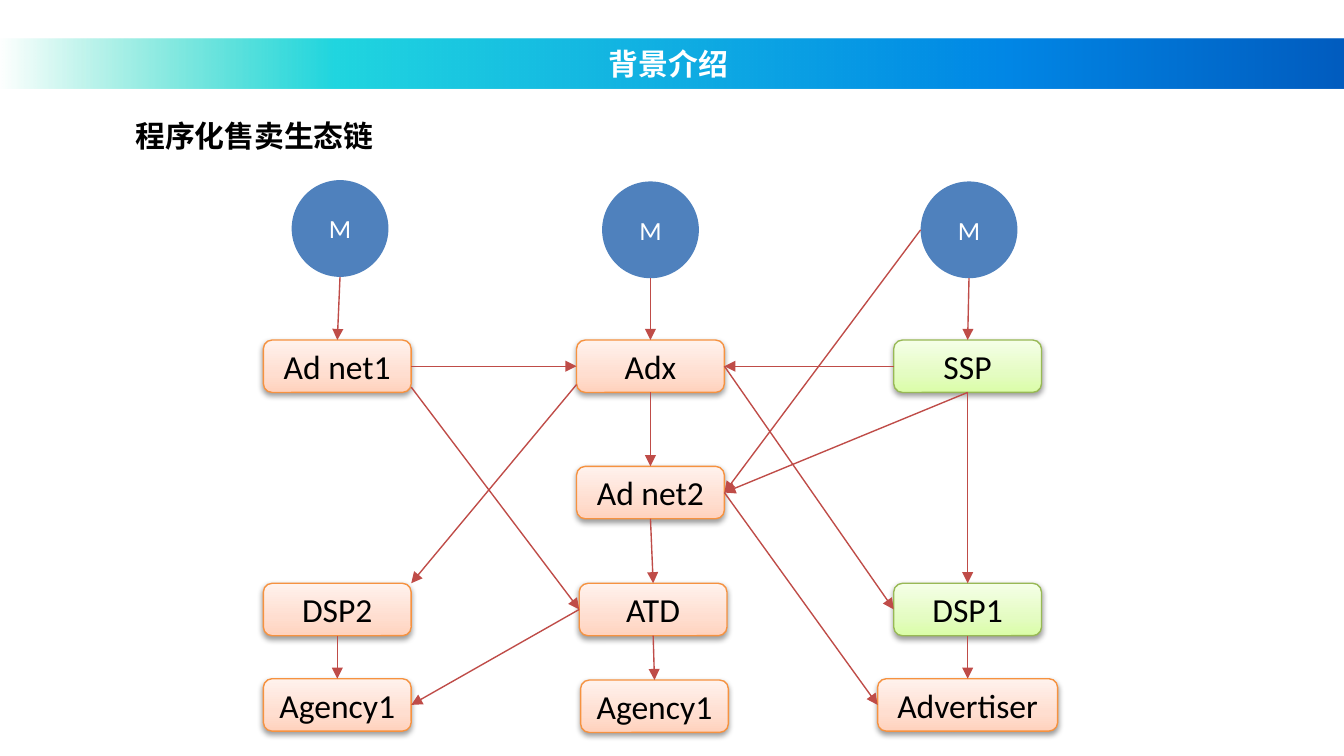
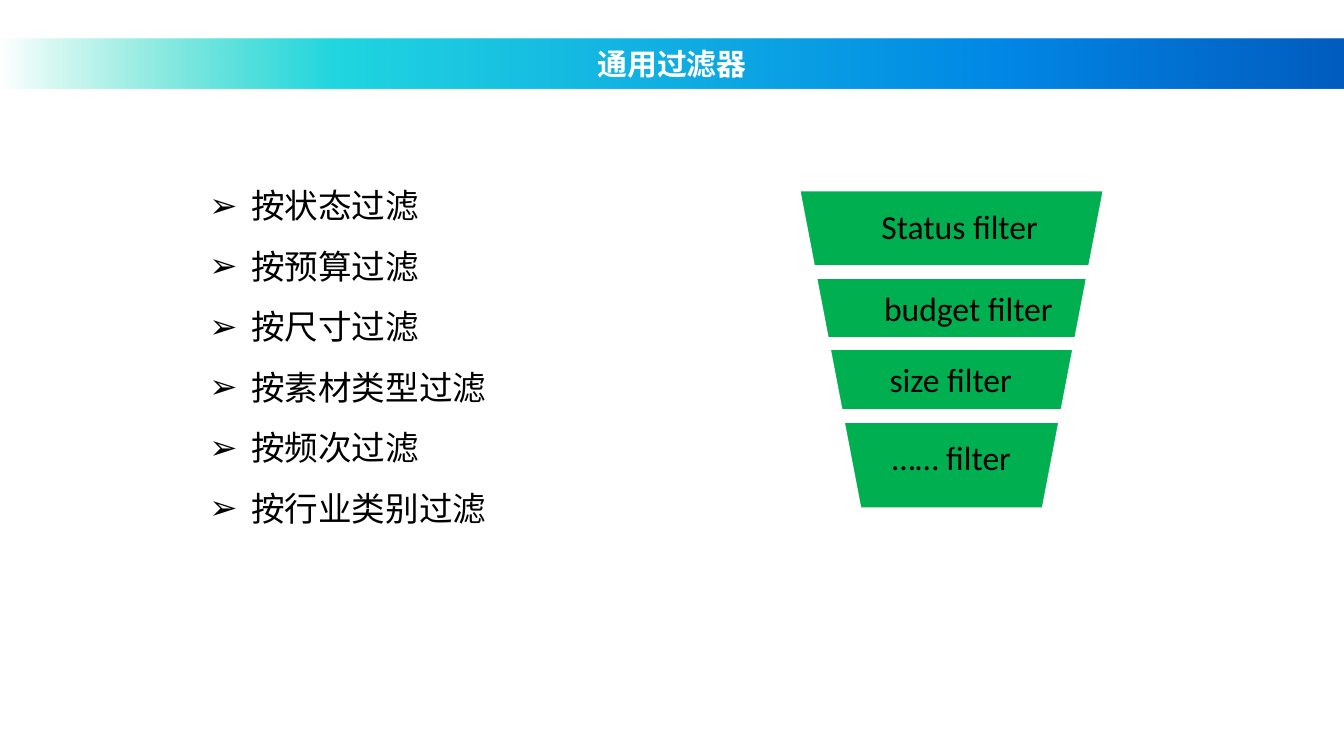
from lxml.etree import SubElement
from pptx import Presentation
from pptx.dml.color import RGBColor
from pptx.enum.shapes import MSO_CONNECTOR as Connector, MSO_SHAPE as Preset
from pptx.enum.text import MSO_ANCHOR as Anchor, MSO_AUTO_SIZE as AutoSize, PP_ALIGN as Align
from pptx.oxml.ns import qn
from pptx.util import Inches, Pt

COLORS = {
    "text": "000000",
    "white": "FFFFFF",
    "media": "4F81BD",
    "arrow": "BF4C48",
    "funnel": "00B050",
    "orange_line": "F69240",
    "green_line": "98B955",
}
# Each stop: position in percent, colour, opacity in percent
BAND_STOPS = [(0, "03D4A8", 0), (25, "21D6E0", 100), (75, "0087E6", 100), (100, "005CBF", 100)]
NODE_STOPS = {
    "orange": [(0, "FFD2BD", 100), (35, "FFDED0", 100), (100, "FFF2ED", 100)],
    "green": [(0, "DAFDA7", 100), (35, "E4FCC2", 100), (100, "F5FFE7", 100)],
}
CJK = "Noto Sans CJK SC"
HEADING = {"name": CJK, "size": Pt(16), "bold": True}
LABEL = {"name": "Calibri", "size": Pt(18)}
MEDIA_LABEL = {"name": "Calibri", "size": Pt(14)}
BULLET_TEXT = {"name": "Arial", "size": Pt(18)}

# Glue sites of a box, in their numbered order, as fractions of its size
SITES = {"top": (0.5, 0), "left": (0, 0.5), "bottom": (0.5, 1), "right": (1, 0.5)}
POINTS = {**SITES, "right low": (1, 0.9), "left low": (0, 0.85), "top right": (1, 0)}

MEDIA = {"M1": (2.17, 1.34), "M2": (4.48, 1.35), "M3": (6.85, 1.35)}
NODES = {  # key: label, left, top, width, palette
    "Ad net1": ("Ad net1", 1.96, 2.53, 1.1, "orange"),
    "Adx": ("Adx", 4.29, 2.53, 1.1, "orange"),
    "SSP": ("SSP", 6.65, 2.53, 1.1, "green"),
    "Ad net2": ("Ad net2", 4.29, 3.47, 1.1, "orange"),
    "DSP1": ("DSP1", 6.65, 4.34, 1.1, "green"),
    "DSP2": ("DSP2", 1.96, 4.34, 1.1, "orange"),
    "ATD": ("ATD", 4.31, 4.34, 1.1, "orange"),
    "Agency left": ("Agency1", 1.96, 5.05, 1.1, "orange"),
    "Agency mid": ("Agency1", 4.32, 5.06, 1.1, "orange"),
    "Advertiser": ("Advertiser", 6.53, 5.05, 1.34, "orange"),
}
FLOWS = [
    ("M1", "bottom", "Ad net1", "top"),
    ("M2", "bottom", "Adx", "top"),
    ("M3", "bottom", "SSP", "top"),
    ("Ad net1", "right", "Adx", "left"),
    ("Ad net1", "right low", "ATD", "left"),
    ("Adx", "bottom", "Ad net2", "top"),
    ("SSP", "left", "Adx", "right"),
    ("SSP", "bottom", "DSP1", "top"),
    ("SSP", "bottom", "Ad net2", "right"),
    ("Ad net2", "bottom", "ATD", "top"),
    ("DSP1", "bottom", "Advertiser", "top"),
    ("ATD", "bottom", "Agency mid", "top"),
    ("Adx", "left low", "DSP2", "top right"),
    ("DSP2", "bottom", "Agency left", "top"),
    ("ATD", "left", "Agency left", "right"),
    ("Adx", "right", "DSP1", "left"),
    ("M3", "left", "Ad net2", "right"),
    ("Ad net2", "right", "Advertiser", "left"),
]
FILTERS = ["按状态过滤", "按预算过滤", "按尺寸过滤", "按素材类型过滤", "按频次过滤", "按行业类别过滤"]
FUNNEL_GAPS = [(5.35, 1.87), (5.47, 2.4), (5.44, 2.94)]
FUNNEL_LABELS = [
    ("Status filter", 6.46, 1.48, 1.38),
    ("budget filter", 6.48, 2.09, 1.47),
    ("size filter", 6.52, 2.62, 1.12),
    ("…… filter", 6.54, 3.2, 1.11),
]


def color(key):
    return RGBColor.from_string(COLORS[key])


def apply_format(target, values):
    for name, value in values.items():
        setattr(target, name, value)


def write(paragraph, text, font, color_key="text"):
    run = paragraph.add_run()
    run.text = text
    apply_format(run.font, font)
    run.font.color.rgb = color(color_key)
    east_asian = SubElement(run._r.get_or_add_rPr(), qn("a:ea"))
    east_asian.set("typeface", CJK)


def add_preset(slide, preset, left, top, width, height, fill=None, line=None, weight=0.75):
    shape = slide.shapes.add_shape(preset, *map(Inches, (left, top, width, height)))
    shape.shadow.inherit = False
    if fill:
        shape.fill.solid()
        shape.fill.fore_color.rgb = color(fill)
    if line:
        shape.line.color.rgb = color(line)
        shape.line.width = Pt(weight)
    else:
        shape.line.fill.background()
    return shape


def fill_gradient(shape, stops, angle):
    """Fill with any number of stops; the angle runs counter-clockwise."""
    shape.fill.gradient()
    shape.fill.gradient_angle = angle
    stop_list = shape._element.spPr.find(qn("a:gradFill")).find(qn("a:gsLst"))
    for default_stop in list(stop_list):
        stop_list.remove(default_stop)
    for position, hex_value, opacity in stops:
        stop = SubElement(stop_list, qn("a:gs"), pos=str(position * 1000))
        tint = SubElement(stop, qn("a:srgbClr"), val=hex_value)
        if opacity < 100:
            SubElement(tint, qn("a:alpha"), val=str(opacity * 1000))


def add_soft_shadow(shape):
    effects = shape._element.spPr.find(qn("a:effectLst"))
    shadow = SubElement(effects, qn("a:outerShdw"), blurRad=str(Pt(3.1)), dist=str(Pt(1.6)),
                        dir="5400000", rotWithShape="0")
    tint = SubElement(shadow, qn("a:srgbClr"), val="000000")
    SubElement(tint, qn("a:alpha"), val="38000")


def add_centered_text(shape, text, font, color_key="text", anchor=Anchor.MIDDLE):
    apply_format(shape.text_frame, {"word_wrap": True, "vertical_anchor": anchor})
    paragraph = shape.text_frame.paragraphs[0]
    paragraph.alignment = Align.CENTER
    write(paragraph, text, font, color_key)


def add_text_frame(slide, left, top, width, height, wrap=False):
    box = slide.shapes.add_textbox(*map(Inches, (left, top, width, height)))
    apply_format(box.text_frame, {"word_wrap": wrap, "auto_size": AutoSize.SHAPE_TO_FIT_TEXT})
    return box.text_frame


def add_titled_slide(deck, title):
    slide = deck.slides.add_slide(deck.slide_layouts[6])
    band = add_preset(slide, Preset.RECTANGLE, 0, 0.29, 10, 0.37)
    fill_gradient(band, BAND_STOPS, 0)
    add_centered_text(band, title, HEADING, "white", Anchor.TOP)
    band.text_frame.auto_size = AutoSize.SHAPE_TO_FIT_TEXT
    return slide


def add_media(slide, left, top):
    circle = add_preset(slide, Preset.OVAL, left, top, 0.72, 0.72, "media")
    add_centered_text(circle, "M", MEDIA_LABEL, "white")
    return circle


def add_node(slide, label, left, top, width, palette):
    node = add_preset(slide, Preset.ROUNDED_RECTANGLE, left, top, width, 0.39,
                      line=f"{palette}_line")
    fill_gradient(node, NODE_STOPS[palette], 90)
    add_soft_shadow(node)
    add_centered_text(node, label, LABEL)
    return node


def point_on(shape, side):
    across, down = POINTS[side]
    return int(shape.left + across * shape.width), int(shape.top + down * shape.height)


def add_flow(slide, source, source_side, target, target_side):
    """Draw an arrow, glued wherever it meets a numbered site of a box."""
    arrow = slide.shapes.add_connector(
        Connector.STRAIGHT, *point_on(source, source_side), *point_on(target, target_side))
    for glue, shape, side in ((arrow.begin_connect, source, source_side),
                              (arrow.end_connect, target, target_side)):
        if side in SITES and shape.auto_shape_type != Preset.OVAL:
            glue(shape, list(SITES).index(side))
    arrow.line.color.rgb = color("arrow")
    arrow.line.width = Pt(0.75)
    SubElement(arrow.line._get_or_add_ln(), qn("a:tailEnd"), type="triangle")
    SubElement(arrow._element.spPr, qn("a:effectLst"))


def add_bullets(slide, items):
    frame = add_text_frame(slide, 1.46, 1.18, 7.8, 2.83, wrap=True)
    for index, item in enumerate(items):
        paragraph = frame.add_paragraph() if index else frame.paragraphs[0]
        paragraph.line_spacing = 1.5
        properties = paragraph._p.get_or_add_pPr()
        properties.set("marL", str(Inches(0.31)))
        properties.set("indent", str(-Inches(0.31)))
        SubElement(properties, qn("a:buFont"), typeface="Arial")
        SubElement(properties, qn("a:buChar"), char="➢")
        write(paragraph, item, BULLET_TEXT)


def add_funnel(slide):
    add_preset(slide, Preset.FLOWCHART_MANUAL_OPERATION, 5.94, 1.41, 2.28, 2.38,
               "funnel", "white", 2)
    for left, top in FUNNEL_GAPS:
        add_preset(slide, Preset.MATH_MINUS, left, top, 3.46, 0.31, "white", "white", 2)
    for label, left, top, width in FUNNEL_LABELS:
        frame = add_text_frame(slide, left, top, width, 0.4)
        write(frame.paragraphs[0], label, LABEL)


def build_ecosystem(deck):
    slide = add_titled_slide(deck, "背景介绍 ")
    parts = {key: add_media(slide, *place) for key, place in MEDIA.items()}
    parts.update({key: add_node(slide, *node) for key, node in NODES.items()})
    for source, source_side, target, target_side in FLOWS:
        add_flow(slide, parts[source], source_side, parts[target], target_side)
    subtitle = add_text_frame(slide, 0.91, 0.83, 2, 0.37)
    write(subtitle.paragraphs[0], "程序化售卖生态链", HEADING)


def build_filters(deck):
    slide = add_titled_slide(deck, "通用过滤器")
    add_bullets(slide, FILTERS)
    add_funnel(slide)


def main():
    deck = Presentation()
    apply_format(deck, {"slide_width": Inches(10), "slide_height": Inches(10 * 9 / 16)})
    build_ecosystem(deck)
    build_filters(deck)
    deck.save("out.pptx")


if __name__ == "__main__":
    main()
